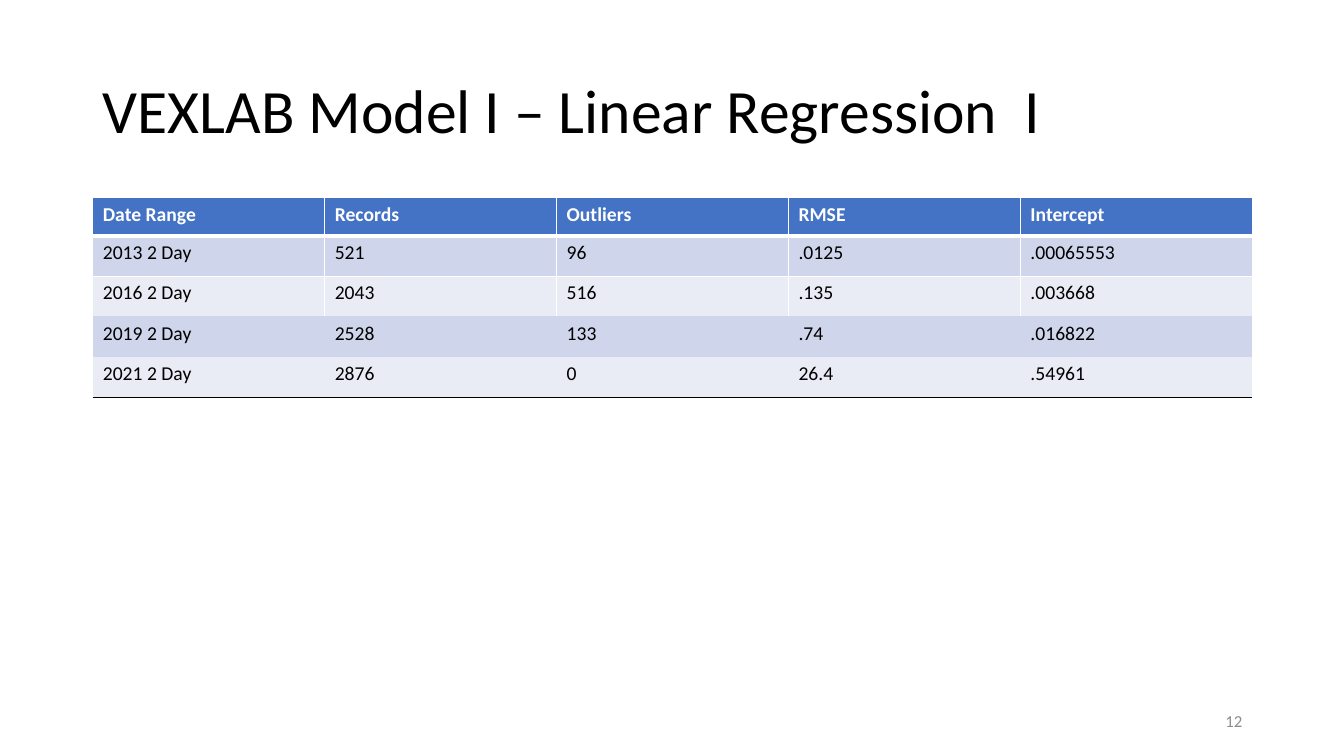
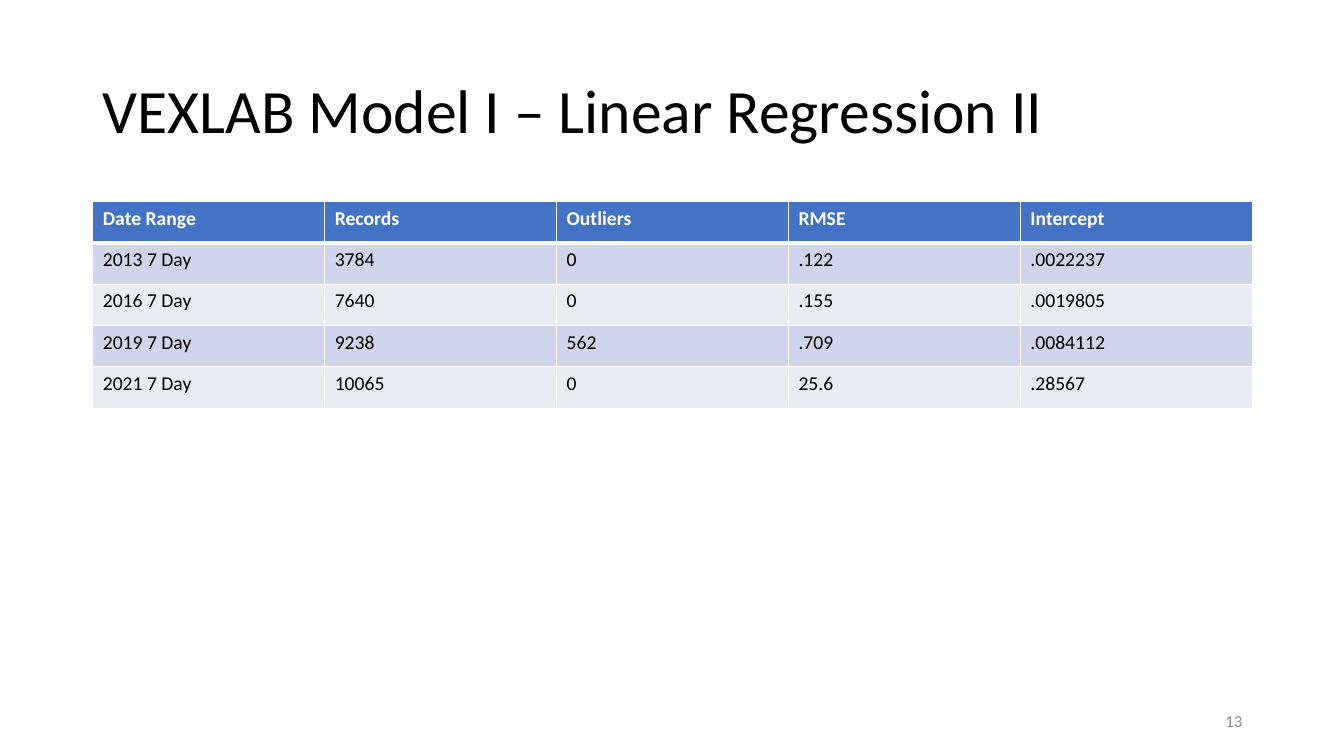
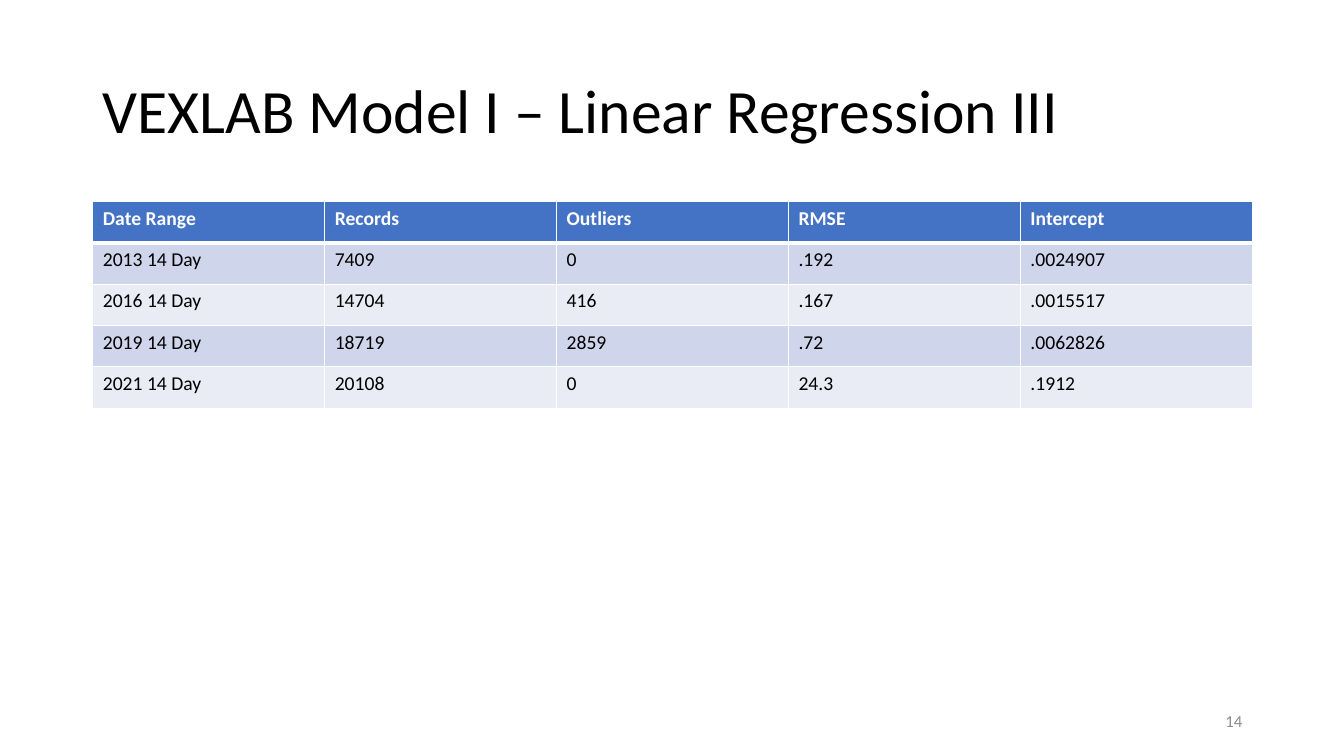
from lxml import etree
from pptx import Presentation
from pptx import util as u
from pptx.dml.color import RGBColor
from pptx.enum import text
from pptx.oxml import ns

# Shared look
FONT = "Calibri"
BLACK = RGBColor(0x00, 0x00, 0x00)
WHITE = RGBColor(0xFF, 0xFF, 0xFF)
GREY = RGBColor(0x8C, 0x8C, 0x8C)
BLUE = RGBColor(0x44, 0x72, 0xC4)
BANDS = (RGBColor(0xCF, 0xD5, 0xEA), RGBColor(0xE9, 0xEB, 0xF5))
NO_GRID_STYLE = "{2D5ABB26-0587-4C30-8999-92F81FD0307C}"

# Regions in inches: left, top, width, height
WIDTH, HEIGHT = 13.33, 7.5
MARGIN = 0.92
TITLE_BOX = (MARGIN, 0.4, 11.5, 1.45)
NUMBER_BOX = (9.42, 6.95, 3, 0.4)
TABLE_WIDTH = 11.5
FIRST_NUMBER = 12
TITLE_ONLY = 5

# Borders of a row: left, right, top, bottom, each a (colour, points) pair or None
THIN, THICK, RULE = (WHITE, 1), (WHITE, 3), (BLACK, 1)
HEADER = (THIN, THIN, THIN, THICK)
GRID = (THIN,) * 4
OPEN_BELOW = (THIN, THIN, THIN, None)
BARE = (None,) * 4
RULED_BELOW = (None, None, None, RULE)

HEADINGS = ("Date Range", "Records", "Outliers", "RMSE", "Intercept")
FULL_GRID = dict(top=2, heights=[0.41] * 5, borders=[HEADER] + [GRID] * 4)
RULED_GRID = dict(top=1.96, heights=[0.38] + [0.4] * 4,
                  borders=[HEADER, GRID, OPEN_BELOW, BARE, RULED_BELOW])

PAGES = (
    ("VEXLAB Model I – Linear Regression  I", RULED_GRID, (
        ("2013 2 Day", "521", "96", ".0125", ".00065553"),
        ("2016 2 Day", "2043", "516", ".135", ".003668"),
        ("2019 2 Day", "2528", "133", ".74", ".016822"),
        ("2021 2 Day", "2876", "0", "26.4", ".54961"))),
    ("VEXLAB Model I – Linear Regression II", FULL_GRID, (
        ("2013 7 Day", "3784", "0", ".122", ".0022237"),
        ("2016 7 Day", "7640", "0", ".155", ".0019805"),
        ("2019 7 Day", "9238", "562", ".709", ".0084112"),
        ("2021 7 Day", "10065", "0", "25.6", ".28567"))),
    ("VEXLAB Model I – Linear Regression III", FULL_GRID, (
        ("2013 14 Day", "7409", "0", ".192", ".0024907"),
        ("2016 14 Day", "14704", "416", ".167", ".0015517"),
        ("2019 14 Day", "18719", "2859", ".72", ".0062826"),
        ("2021 14 Day", "20108", "0", "24.3", ".1912"))),
)


def write(frame, words, size, colour=BLACK, bold=False,
          align=text.PP_ALIGN.LEFT, spacing=1.0):
    """Put one formatted paragraph into a text frame."""
    para = frame.paragraphs[0]
    para.alignment = align
    para.line_spacing = spacing
    span = para.add_run()
    span.text = words
    span.font.name = FONT
    span.font.size = u.Pt(size)
    span.font.bold = bold
    span.font.color.rgb = colour


def set_borders(cell, borders):
    """Draw or clear the four edges of a cell."""
    properties = cell._tc.get_or_add_tcPr()
    for place, (side, border) in enumerate(zip("LRTB", borders)):
        line = etree.Element(ns.qn("a:ln" + side))
        if border:
            colour, points = border
            line.set("w", str(u.Pt(points)))
            fill = etree.SubElement(line, ns.qn("a:solidFill"))
            etree.SubElement(fill, ns.qn("a:srgbClr"), val=str(colour))
        else:
            etree.SubElement(line, ns.qn("a:noFill"))
        properties.insert(place, line)


def add_title(page, words, box):
    title = page.shapes.title
    title.left, title.top, title.width, title.height = map(u.Inches, box)
    frame = title.text_frame
    frame.auto_size = text.MSO_AUTO_SIZE.NONE
    frame.vertical_anchor = text.MSO_ANCHOR.MIDDLE
    write(frame, words, 44, spacing=0.9)


def add_number(page, number, box):
    frame = page.shapes.add_textbox(*map(u.Inches, box)).text_frame
    frame.word_wrap = True
    frame.vertical_anchor = text.MSO_ANCHOR.MIDDLE
    write(frame, str(number), 12, colour=GREY, align=text.PP_ALIGN.RIGHT)


def add_results(page, records, left, width, top, heights, borders):
    rows = (HEADINGS, *records)
    box = map(u.Inches, (left, top, width, sum(heights)))
    shape = page.shapes.add_table(len(rows), len(HEADINGS), *box)
    table = shape.table
    table._tbl.tblPr.find(ns.qn("a:tableStyleId")).text = NO_GRID_STYLE
    for column in table.columns:
        column.width = u.Inches(width / len(HEADINGS))
    for r, values in enumerate(rows):
        table.rows[r].height = u.Inches(heights[r])
        heading = r == 0
        for cell, value in zip(table.rows[r].cells, values):
            cell.fill.solid()
            cell.fill.fore_color.rgb = BLUE if heading else BANDS[(r - 1) % 2]
            set_borders(cell, borders[r])
            write(cell.text_frame, value, 14, bold=heading,
                  colour=WHITE if heading else BLACK)


def main():
    deck = Presentation()
    deck.slide_width, deck.slide_height = u.Inches(WIDTH), u.Inches(HEIGHT)
    for number, (title, layout, records) in enumerate(PAGES, FIRST_NUMBER):
        page = deck.slides.add_slide(deck.slide_layouts[TITLE_ONLY])
        add_title(page, title, TITLE_BOX)
        add_results(page, records, MARGIN, TABLE_WIDTH, **layout)
        add_number(page, number, NUMBER_BOX)
    deck.save("out.pptx")


if __name__ == "__main__":
    main()
